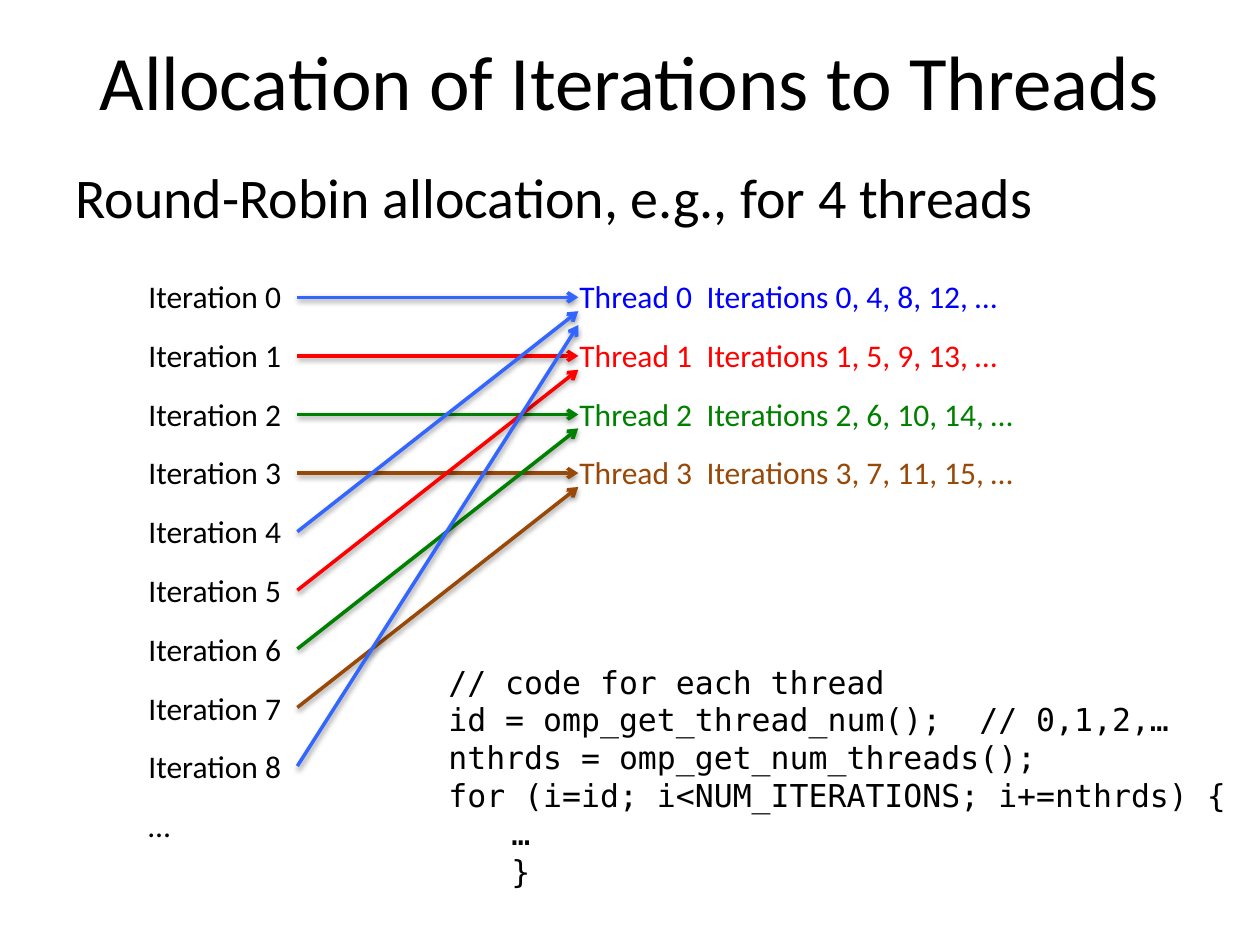
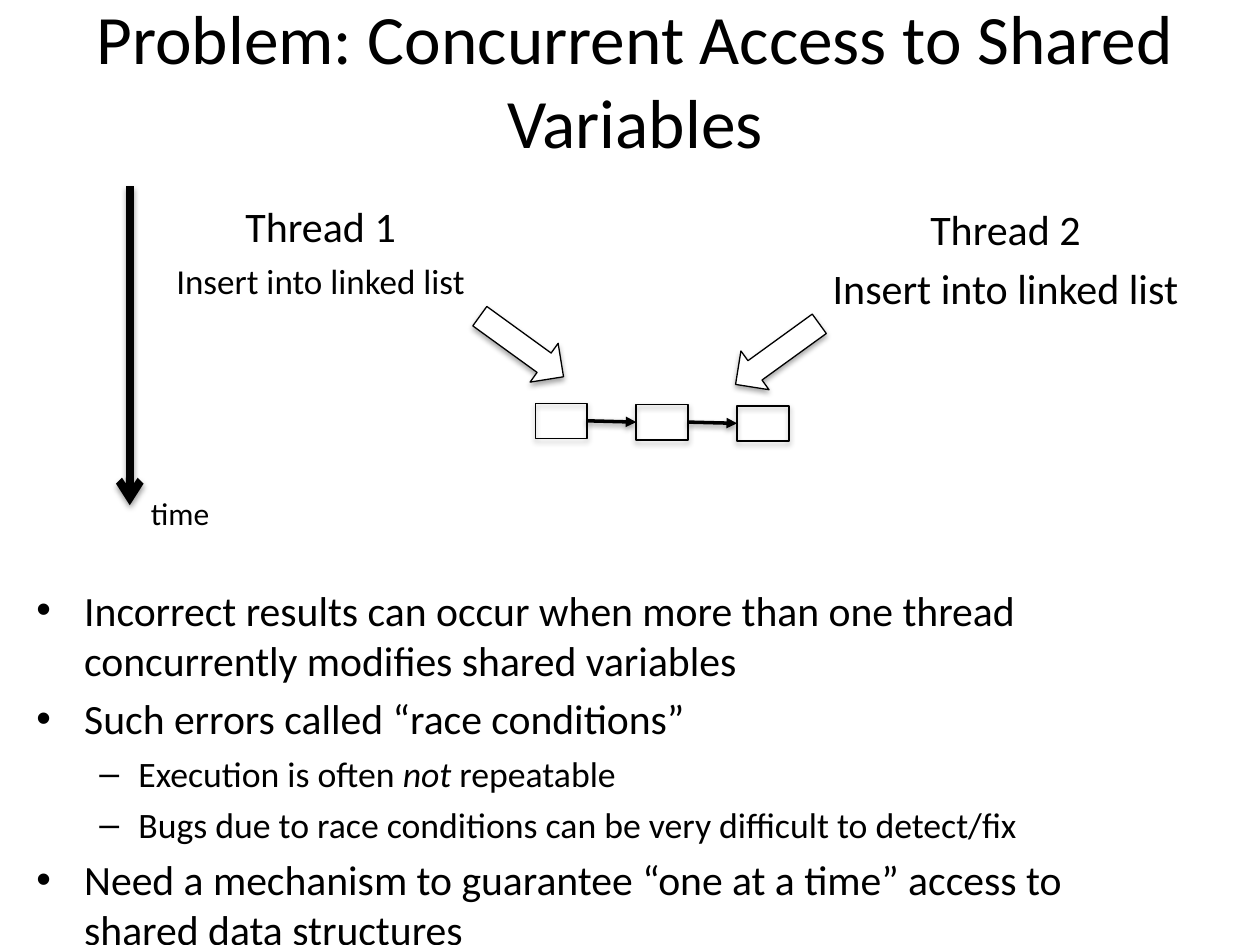
from lxml import etree
from pptx import Presentation
from pptx.dml.color import RGBColor
from pptx.enum.shapes import MSO_CONNECTOR, MSO_SHAPE
from pptx.enum.text import MSO_ANCHOR, MSO_AUTO_SIZE, PP_ALIGN
from pptx.oxml.ns import qn
from pptx.util import Emu, Pt

STRAIGHT = MSO_CONNECTOR.STRAIGHT
RECTANGLE, RIGHT_ARROW = MSO_SHAPE.RECTANGLE, MSO_SHAPE.RIGHT_ARROW
LEFT, CENTER = PP_ALIGN.LEFT, PP_ALIGN.CENTER
TOP, MIDDLE = MSO_ANCHOR.TOP, MSO_ANCHOR.MIDDLE
NO_AUTOFIT = MSO_AUTO_SIZE.NONE
RIGHT_SIDE, LEFT_SIDE = 3, 1

# Shared look: 100 px to the inch
PX = 9144
SANS, MONO = "Calibri", "DejaVu Sans Mono"
BLACK = RGBColor(0x00, 0x00, 0x00)
WHITE = RGBColor(0xFF, 0xFF, 0xFF)
BLUE = RGBColor(0x00, 0x00, 0xFF)
SKY = RGBColor(0x33, 0x66, 0xFF)
RED = RGBColor(0xFF, 0x00, 0x00)
GREEN = RGBColor(0x00, 0x80, 0x00)
BROWN = RGBColor(0x98, 0x48, 0x07)

# Content: round-robin slide
ALLOCATION_TITLE = "Allocation of Iterations to Threads"
ALLOCATION_LEAD = "Round-Robin allocation, e.g., for 4 threads"
ITERATIONS = 9
THREAD_COLORS = [BLUE, RED, GREEN, BROWN]
ARROW_COLORS = [SKY, RED, GREEN, BROWN]
CODE = [
    "// code for each thread",
    "id = omp_get_thread_num();  // 0,1,2,…",
    "nthrds = omp_get_num_threads();",
    "for (i=id; i<NUM_ITERATIONS; i+=nthrds) {",
    "\t…",
    "\t}",
]
FIRST_ROW, EIGHT_ROWS = 236, 372
ARROW_START, ARROW_END, ROUND_DROP = 236, 459, 11

# Content: shared variables slide (asterisks enclose italics)
PROBLEM_TITLE = "Problem: Concurrent Access to Shared Variables"
INSERT = "Insert into linked list"
THREAD_NOTES = [
    ("Thread 1", 20, (11, 154, 487, 98)),
    ("Thread 2", 24, (607, 157, 382, 126)),
]
POINT = {"size": 23.8, "bullet": "•", "margin": 38, "hang": 38}
SUBPOINT = {"size": 20.4, "bullet": "–", "margin": 81, "hang": 31}
POINTS = [
    ("Incorrect results can occur when more than one thread "
     "concurrently modifies shared variables", POINT),
    ("Such errors called “race conditions”", POINT),
    ("Execution is often *not* repeatable", SUBPOINT),
    ("Bugs due to race conditions can be very difficult to detect/fix", SUBPOINT),
    ("Need a mechanism to guarantee “one at a time” access to "
     "shared data structures", POINT),
]
NODE_COUNT, FIRST_NODE, NODE_STEP, NODE_SIZE = 3, (425, 320), (80, 1), (41, 28)
NODE_LINES = [0.75, 1, 1]
INSERT_ARROWS = [((373, 256, 82, 38), 35.9), ((576, 262, 82, 38), 144.1)]


def px(*lengths):
    return [Emu(round(length * PX)) for length in lengths]


def format_paragraph(para, text, size=18, color=BLACK, font=SANS, align=LEFT,
                     before=0, bullet=None, margin=0, hang=0):
    para.alignment = align
    para.space_before = Pt(before)
    if bullet:
        properties = para._p.get_or_add_pPr()
        properties.set("marL", str(margin * PX))
        properties.set("indent", str(-hang * PX))
        etree.SubElement(properties, qn("a:buFont"), typeface="Arial")
        etree.SubElement(properties, qn("a:buChar"), char=bullet)
    for index, part in enumerate(text.split("*")):
        span = para.add_run()
        span.text = part
        span.font.name, span.font.size = font, Pt(size)
        span.font.color.rgb = color
        if index % 2:
            span.font.italic = True


def fill_text(box, lines, wrap=True, anchor=TOP, **style):
    """Each line is a string or a (string, own format) pair."""
    frame = box.text_frame
    frame.word_wrap, frame.vertical_anchor = wrap, anchor
    frame.auto_size = NO_AUTOFIT
    for index, line in enumerate(lines):
        text, own = (line, {}) if isinstance(line, str) else line
        para = frame.add_paragraph() if index else frame.paragraphs[0]
        format_paragraph(para, text, **{**style, **own})


def add_text(page, place, lines, **style):
    fill_text(page.shapes.add_textbox(*px(*place)), lines, **style)


def add_page(deck, title, place, size):
    page = deck.slides.add_slide(deck.slide_layouts[5])
    box = page.shapes.title
    box.left, box.top, box.width, box.height = px(*place)
    fill_text(box, [title], size=size, align=CENTER, anchor=MIDDLE)
    return page


def add_arrow(page, start, end, color=BLACK, width=2, head="arrow"):
    # The theme gives lines and shapes their soft shadow
    arrow = page.shapes.add_connector(STRAIGHT, *px(*start, *end))
    arrow.line.color.rgb, arrow.line.width = color, Pt(width)
    etree.SubElement(arrow.line._get_or_add_ln(), qn("a:tailEnd"), type=head)
    return arrow


def add_outline(page, kind, place, width, fill=None):
    shape = page.shapes.add_shape(kind, *px(*place))
    if fill is None:
        shape.fill.background()
    else:
        shape.fill.solid()
        shape.fill.fore_color.rgb = fill
    shape.line.color.rgb, shape.line.width = BLACK, Pt(width)
    return shape


def build_allocation(deck):
    page = add_page(deck, ALLOCATION_TITLE, (50, 1, 900, 125), 44)
    add_text(page, (50, 124, 900, 63), [ALLOCATION_LEAD], size=32)

    # Iterations and their arrows
    names = [f"Iteration {i}" for i in range(ITERATIONS)] + ["…"]
    add_text(page, (108, 215, 128, 464), names, wrap=False, before=12)
    rows = [FIRST_ROW + EIGHT_ROWS * i / 8 for i in range(ITERATIONS)]
    threads = len(THREAD_COLORS)
    for i, row in enumerate(rows):
        turn, thread = divmod(i, threads)
        add_arrow(page, (ARROW_START, row),
                  (ARROW_END, rows[thread] + turn * ROUND_DROP), ARROW_COLORS[thread])

    # Threads and the iterations they receive
    labels, shares = [], []
    for thread, color in enumerate(THREAD_COLORS):
        numbers = ", ".join(str(thread + threads * turn) for turn in range(4))
        labels.append((f"Thread {thread}", {"color": color}))
        shares.append((f"Iterations {numbers}, …", {"color": color}))
    add_text(page, (450, 215, 111, 182), labels, wrap=False, before=12)
    add_text(page, (551, 215, 269, 182), shares, wrap=False, before=12)

    add_text(page, (346, 521, 641, 192), CODE, wrap=False, font=MONO)


def build_problem(deck):
    page = add_page(deck, PROBLEM_TITLE, (54, 0, 900, 125), 39.6)
    add_text(page, (19, 459, 931, 261), POINTS, before=4.8)
    for name, size, place in THREAD_NOTES:
        add_text(page, place, [(name, {"size": 24}), (INSERT, {"size": size})],
                 align=CENTER, before=4.8)

    # Time axis
    add_arrow(page, (103, 148), (103, 401), width=4.5)
    add_text(page, (110, 387, 67, 40), ["time"], wrap=False)

    # Linked list
    nodes = []
    for index in range(NODE_COUNT):
        corner = [start + index * step for start, step in zip(FIRST_NODE, NODE_STEP)]
        nodes.append(add_outline(page, RECTANGLE, (*corner, *NODE_SIZE), NODE_LINES[index]))
    for node, following in zip(nodes, nodes[1:]):
        link = add_arrow(page, (0, 0), (0, 0), head="triangle")
        link.begin_connect(node, RIGHT_SIDE)
        link.end_connect(following, LEFT_SIDE)

    # Block arrows from both threads
    for place, angle in INSERT_ARROWS:
        add_outline(page, RIGHT_ARROW, place, 0.75, WHITE).rotation = angle


def main():
    deck = Presentation()
    deck.slide_width, deck.slide_height = px(1000, 750)
    build_allocation(deck)
    build_problem(deck)
    deck.save("out.pptx")


if __name__ == "__main__":
    main()
